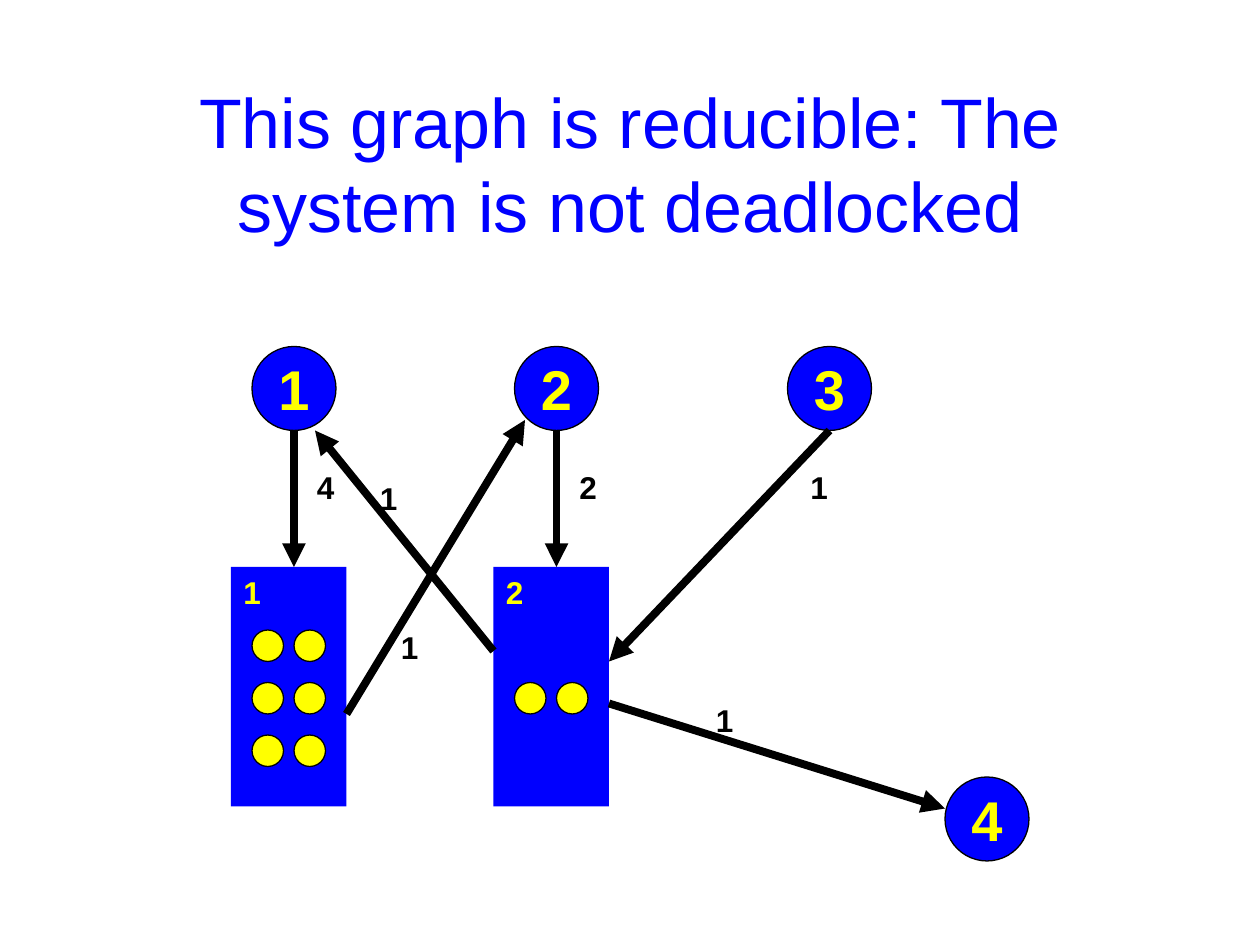
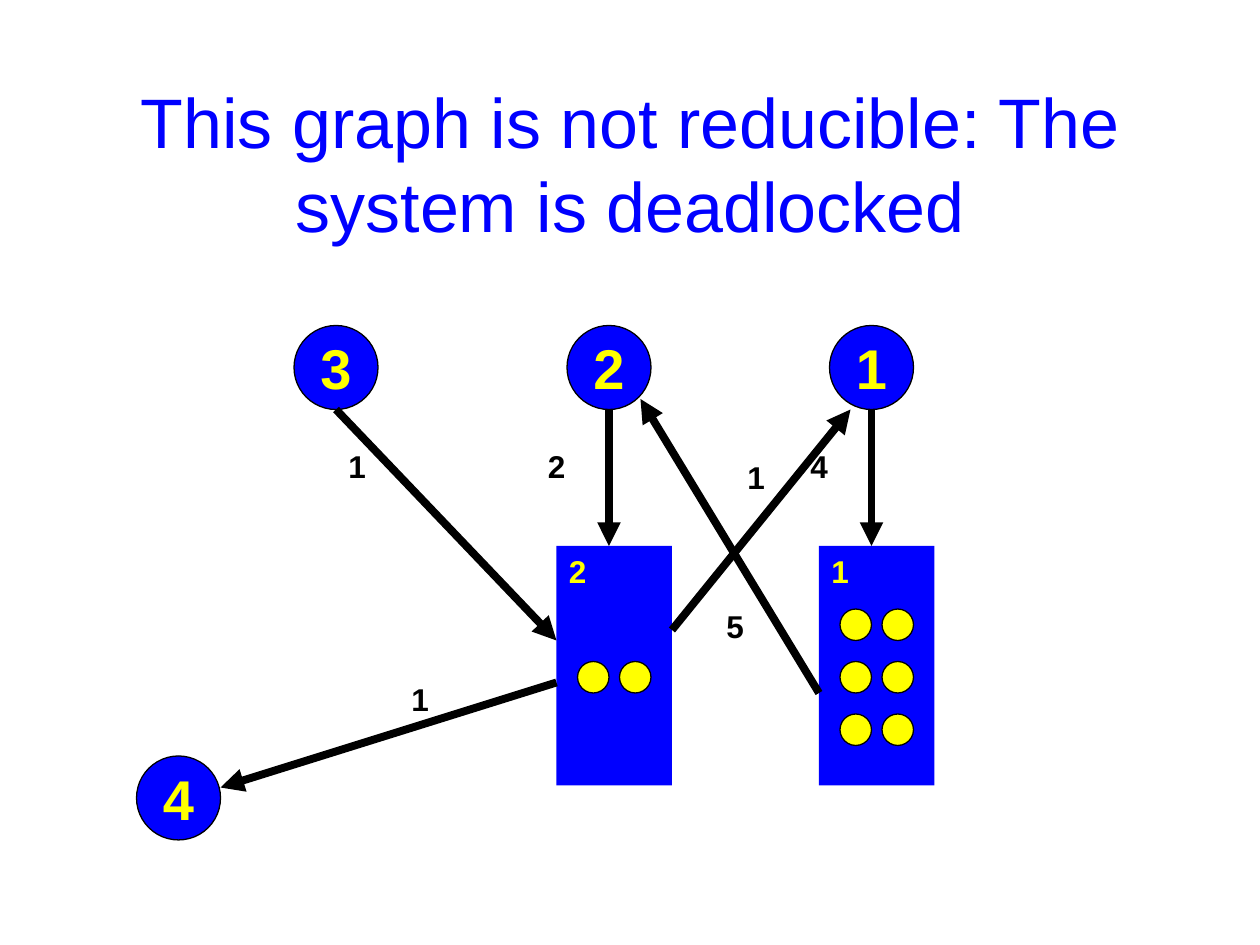
from dataclasses import dataclass

from lxml import etree
from pptx import Presentation
from pptx.dml.color import RGBColor
from pptx.enum.shapes import MSO_CONNECTOR, MSO_SHAPE
from pptx.enum.text import MSO_ANCHOR, PP_ALIGN
from pptx.oxml.ns import qn
from pptx.util import Inches, Pt

ELLIPSE, RECTANGLE = MSO_SHAPE.OVAL, MSO_SHAPE.RECTANGLE
STRAIGHT = MSO_CONNECTOR.STRAIGHT
TOP, MIDDLE = MSO_ANCHOR.TOP, MSO_ANCHOR.MIDDLE
LEFT, CENTER = PP_ALIGN.LEFT, PP_ALIGN.CENTER

BLUE, YELLOW, BLACK = "0000FF", "FFFF00", "000000"
FONT = "Arial"
LINE_HEIGHT = 1.2

# Grid: 12 columns and 12 rows to the inch.
CELLS_PER_INCH = 12
PROCESS_SIZE = 8
RESOURCE_WIDTH, RESOURCE_HEIGHT = 11, 22.8
RESOURCE_ROW = 54
UNIT_SIZE = 3
UNIT_COLUMNS = (2, 6)
LABEL_HEIGHT = 4.8
MIRROR_WIDTH = 111


@dataclass(frozen=True)
class Process:
    name: str
    column: float
    row: float


@dataclass(frozen=True)
class Resource:
    name: str
    column: float
    unit_rows: tuple[int, ...]


@dataclass(frozen=True)
class Edge:
    """A request or an allocation, with the number of units it stands for."""
    start: tuple[float, float]
    end: tuple[float, float]
    count: str
    count_at: tuple[float, float]
    count_width: float = 6


@dataclass(frozen=True)
class View:
    """How the grid is laid on a slide."""
    mirrored: bool = False
    rise: float = 0

    def left(self, column: float, width: float = 0) -> Inches:
        if self.mirrored:
            column = MIRROR_WIDTH - column - width
        return cells(column)

    def top(self, row: float) -> Inches:
        return cells(row - self.rise)

    def box(self, column: float, row: float, width: float, height: float) -> tuple:
        return (self.left(column, width), self.top(row), cells(width), cells(height))


PROCESSES = (
    Process("1", 24, 33),
    Process("2", 49, 33),
    Process("3", 75, 33),
    Process("4", 90, 74),
)
RESOURCES = (
    Resource("1", 22, (6, 11, 16)),
    Resource("2", 47, (11,)),
)


def graph_edges(held_by_process_2: str) -> tuple[Edge, ...]:
    return (
        Edge((28, 41), (28, 54), "4", (29, 44)),
        Edge((53, 41), (53, 54), "2", (54, 44)),
        Edge((79, 41), (58, 63), "1", (76, 44), 3),
        Edge((47, 62), (30, 41), "1", (35, 45)),
        Edge((58, 67), (90, 77), "1", (67, 66.2)),
        Edge((33, 68), (50, 40), held_by_process_2, (37, 59.2)),
    )


def cells(count: float) -> Inches:
    return Inches(count / CELLS_PER_INCH)


def color(hex_value: str) -> RGBColor:
    return RGBColor.from_string(hex_value)


def write(shape, text: str, size: float, ink: str, bold: bool = True,
          align=LEFT, anchor=TOP, wrap: bool = True) -> None:
    frame = shape.text_frame
    frame.word_wrap = wrap
    frame.vertical_anchor = anchor
    frame.text = text
    paragraph = frame.paragraphs[0]
    paragraph.alignment = align
    paragraph.line_spacing = Pt(size * LINE_HEIGHT)
    font = paragraph.runs[0].font
    font.name, font.size, font.bold = FONT, Pt(size), bold
    font.color.rgb = color(ink)


def add_filled(slide, kind, box: tuple, fill: str, outlined: bool = True):
    shape = slide.shapes.add_shape(kind, *box)
    shape.shadow.inherit = False
    shape.fill.solid()
    shape.fill.fore_color.rgb = color(fill)
    if outlined:
        shape.line.color.rgb = color(BLACK)
        shape.line.width = Pt(0.75)
    else:
        shape.line.fill.background()
    return shape


def add_title(slide, text: str) -> None:
    title = slide.shapes.add_textbox(*View().box(9, 8, 102, 15))
    write(title, text, 40, BLUE, bold=False, align=CENTER, anchor=MIDDLE)


def add_process(slide, view: View, process: Process) -> None:
    box = view.box(process.column, process.row, PROCESS_SIZE, PROCESS_SIZE)
    circle = add_filled(slide, ELLIPSE, box, BLUE)
    write(circle, process.name, 32, YELLOW, align=CENTER, anchor=MIDDLE, wrap=False)


def add_resource(slide, view: View, resource: Resource) -> None:
    box = view.box(resource.column, RESOURCE_ROW, RESOURCE_WIDTH, RESOURCE_HEIGHT)
    block = add_filled(slide, RECTANGLE, box, BLUE, outlined=False)
    write(block, resource.name, 18, YELLOW)
    for row in resource.unit_rows:
        for column in UNIT_COLUMNS:
            unit_box = view.box(resource.column + column, RESOURCE_ROW + row,
                                UNIT_SIZE, UNIT_SIZE)
            add_filled(slide, ELLIPSE, unit_box, YELLOW)


def add_edge(slide, view: View, edge: Edge) -> None:
    (start_column, start_row), (end_column, end_row) = edge.start, edge.end
    arrow = slide.shapes.add_connector(
        STRAIGHT, view.left(start_column), view.top(start_row),
        view.left(end_column), view.top(end_row))
    arrow.line.color.rgb = color(BLACK)
    arrow.line.width = Pt(4.5)
    etree.SubElement(arrow.line._get_or_add_ln(), qn("a:tailEnd"), type="triangle")
    etree.SubElement(arrow._element.spPr, qn("a:effectLst"))

    box = view.box(*edge.count_at, edge.count_width, LABEL_HEIGHT)
    write(slide.shapes.add_textbox(*box), edge.count, 18, BLACK)


def add_graph_slide(deck, title: str, edges: tuple[Edge, ...], view: View) -> None:
    slide = deck.slides.add_slide(deck.slide_layouts[6])
    add_title(slide, title)
    for process in PROCESSES:
        add_process(slide, view, process)
    for resource in RESOURCES:
        add_resource(slide, view, resource)
    for edge in edges:
        add_edge(slide, view, edge)


def main() -> None:
    deck = Presentation()
    deck.slide_width, deck.slide_height = Inches(10), Inches(7.5)
    add_graph_slide(deck, "This graph is reducible: The system is not deadlocked",
                    graph_edges("1"), View())
    add_graph_slide(deck, "This graph is not reducible: The system is deadlocked",
                    graph_edges("5"), View(mirrored=True, rise=2))
    deck.save("out.pptx")


if __name__ == "__main__":
    main()
